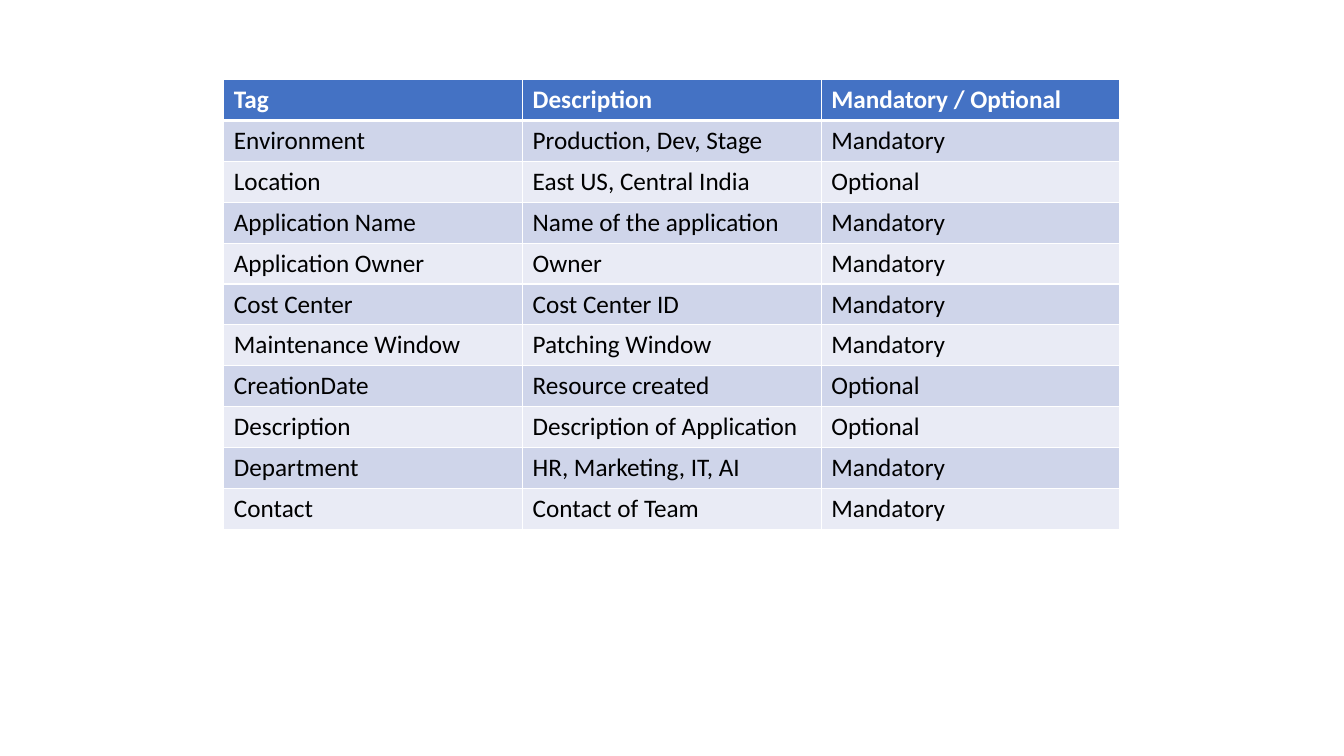
"""Build a slide with a table of resource tags."""
from dataclasses import dataclass

from lxml import etree
from pptx import Presentation
from pptx.dml.color import RGBColor
from pptx.oxml.ns import qn
from pptx.slide import Slide
from pptx.table import _Cell
from pptx.util import Inches, Pt

COLORS = {
    "header": "4472C4",
    "odd": "CFD5EA",
    "even": "E9EBF5",
    "white": "FFFFFF",
    "black": "000000",
}
THIN, THICK = Pt(1), Pt(3)


@dataclass(frozen=True)
class TagRow:
    tag: str
    description: str
    requirement: str

    def texts(self) -> tuple[str, str, str]:
        return self.tag, self.description, self.requirement


@dataclass(frozen=True)
class RowStyle:
    fill: str
    text: str
    bold: bool
    top: int = THIN
    bottom: int = THIN


TAG_ROWS = [
    TagRow("Tag", "Description", "Mandatory / Optional"),
    TagRow("Environment", "Production, Dev, Stage", "Mandatory"),
    TagRow("Location", "East US, Central India", "Optional"),
    TagRow("Application Name", "Name of the application", "Mandatory"),
    TagRow("Application Owner", "Owner", "Mandatory"),
    TagRow("Cost Center", "Cost Center ID", "Mandatory"),
    TagRow("Maintenance Window", "Patching Window", "Mandatory"),
    TagRow("CreationDate", "Resource created", "Optional"),
    TagRow("Description", "Description of Application", "Optional"),
    TagRow("Department", "HR, Marketing, IT, AI", "Mandatory"),
    TagRow("Contact", "Contact of Team", "Mandatory"),
]


def row_style(index: int) -> RowStyle:
    if index == 0:
        return RowStyle("header", "white", True, bottom=THICK)
    band = "odd" if index % 2 else "even"
    return RowStyle(band, "black", False, top=THICK if index == 1 else THIN)


def draw_borders(cell: _Cell, style: RowStyle) -> None:
    properties = cell._tc.get_or_add_tcPr()
    widths = {"lnL": THIN, "lnR": THIN, "lnT": style.top, "lnB": style.bottom}
    for position, (side, width) in enumerate(widths.items()):
        line = etree.Element(qn(f"a:{side}"), w=str(int(width)))
        fill = etree.SubElement(line, qn("a:solidFill"))
        etree.SubElement(fill, qn("a:srgbClr"), val=COLORS["white"])
        properties.insert(position, line)


def draw_cell(cell: _Cell, text: str, style: RowStyle) -> None:
    cell.fill.solid()
    cell.fill.fore_color.rgb = RGBColor.from_string(COLORS[style.fill])
    draw_borders(cell, style)
    span = cell.text_frame.paragraphs[0].add_run()
    span.text = text
    formats = {"name": "Calibri", "size": Pt(18), "bold": style.bold}
    for attribute, value in formats.items():
        setattr(span.font, attribute, value)
    span.font.color.rgb = RGBColor.from_string(COLORS[style.text])


def draw_tag_table(page: Slide, rows: list[TagRow]) -> None:
    frame = page.shapes.add_table(
        len(rows), 3, Inches(2.22), Inches(0.79), Inches(8.89), Inches(4.46)
    )
    for index, row in enumerate(rows):
        for column, text in enumerate(row.texts()):
            draw_cell(frame.table.cell(index, column), text, row_style(index))


def main() -> None:
    deck = Presentation()
    deck.slide_width, deck.slide_height = Inches(13.33), Inches(7.5)
    page = deck.slides.add_slide(deck.slide_layouts[6])
    draw_tag_table(page, TAG_ROWS)
    deck.save("out.pptx")


if __name__ == "__main__":
    main()
